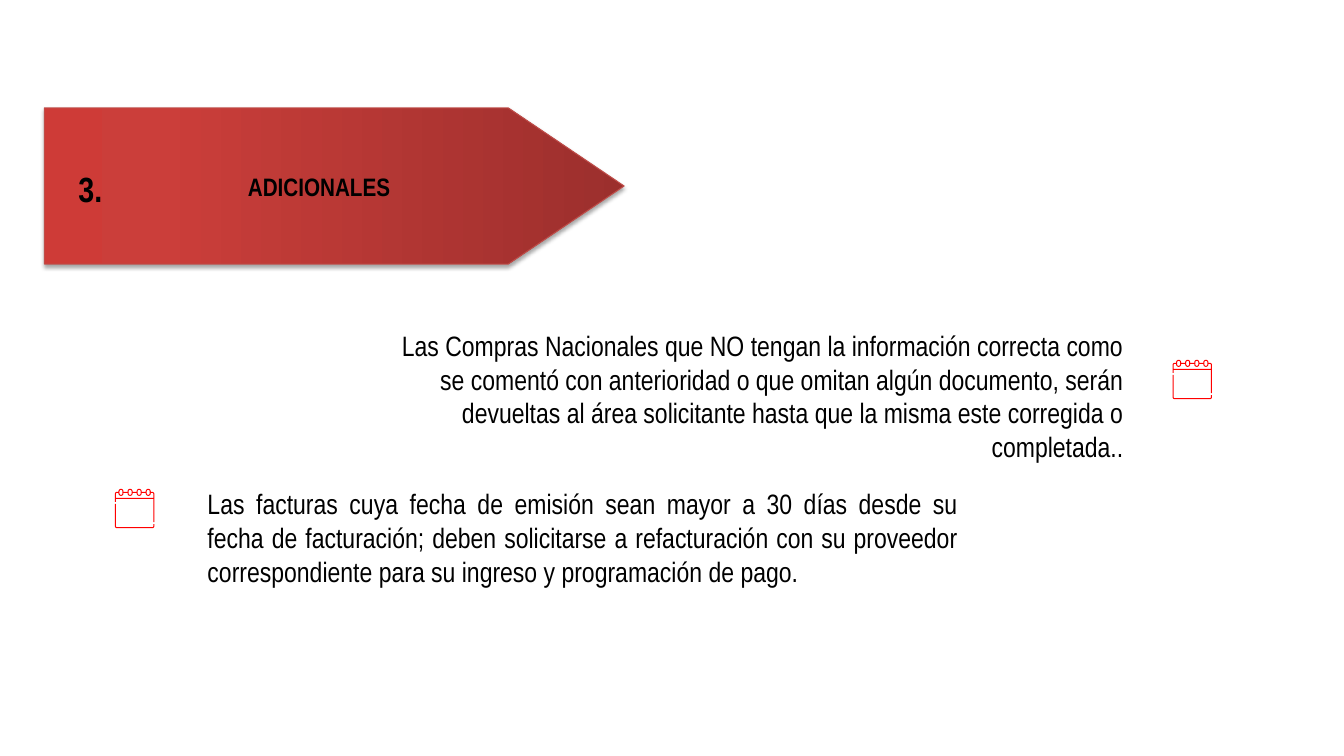
from copy import deepcopy
from math import cos, radians, sin

from lxml import etree
from pptx import Presentation
from pptx.dml.color import RGBColor
from pptx.enum.shapes import MSO_SHAPE
from pptx.enum.text import MSO_ANCHOR, MSO_AUTO_SIZE, PP_ALIGN
from pptx.oxml.ns import qn
from pptx.util import Inches, Pt

LEFT, CENTER, RIGHT, JUST = PP_ALIGN.LEFT, PP_ALIGN.CENTER, PP_ALIGN.RIGHT, PP_ALIGN.JUSTIFY
TOP = MSO_ANCHOR.TOP
GROW = MSO_AUTO_SIZE.SHAPE_TO_FIT_TEXT
PENTA = MSO_SHAPE.FLOWCHART_OFFPAGE_CONNECTOR

HEAD = ("ADICIONALES", (1.16, 1.65, 4.01, 0.4))
NUMBER = ("3.", (0.68, 1.61, 0.48, 0.52))
BANNER = (2.54, -1.03, 1.55, 5.75)
NOTES = [
    {
        "text": "Las Compras Nacionales que NO tengan la información correcta como se comentó con anterioridad o que omitan algún documento, serán devueltas al área solicitante hasta que la misma este corregida o completada..",
        "box": (3.6, 3.21, 7.64, 1.11),
        "align": RIGHT,
        "icon": (11.63, 3.57),
    },
    {
        "text": "Las facturas cuya fecha de emisión sean mayor a 30 días desde su fecha de facturación; deben solicitarse a refacturación con su proveedor correspondiente para su ingreso y programación de pago.",
        "box": (1.96, 4.78, 7.64, 1.11),
        "align": JUST,
        "icon": (1.14, 4.85),
    },
]
THEME = {
    "font": "Arial Narrow",
    "ink": RGBColor(0, 0, 0),
    "icon": RGBColor(0xFF, 0, 0),
    "edge": RGBColor(0xBF, 0x4C, 0x48),
    "stops": [(0, "9C2F2D"), (0.8, "CB3E3A"), (1, "CE3B37")],
    "head": 18,
    "number": 25,
    "body": 20,
}


def place(box):
    return [Inches(n) for n in box]


def write(shape, text, size, align, bold=False):
    frame = shape.text_frame
    frame.word_wrap = True
    frame.auto_size = GROW
    frame.vertical_anchor = TOP
    para = frame.paragraphs[0]
    para.alignment = align
    run = para.add_run()
    run.text = text
    font = run.font
    font.name, font.size, font.bold = THEME["font"], Pt(size), bold
    font.color.rgb = THEME["ink"]


def arc(x, y, r, start, end, steps=8):
    turns = [radians(start + (end - start) * i / steps) for i in range(steps + 1)]
    return [(x + r * cos(t), y + r * sin(t)) for t in turns]


def draw(slide, loops, corner):
    left, top = corner
    build = None
    for loop in loops:
        dots = [(Inches(left + x), Inches(top + y)) for x, y in loop]
        if build is None:
            build = slide.shapes.build_freeform(*dots[0])
        else:
            build.move_to(*dots[0])
        build.add_line_segments(dots[1:], close=True)
    shape = build.convert_to_shape()
    shape.shadow.inherit = False
    shape.fill.solid()
    shape.fill.fore_color.rgb = THEME["icon"]
    shape.line.fill.background()


def cover():
    rings = [0.06 + 0.09 * i for i in range(4)]
    rim = [(0.01, 0.13), (0, 0.13)] + arc(0.02, 0.05, 0.02, 180, 270)
    page = [(0.01, 0.09)] + arc(0.02, 0.05, 0.01, 180, 270)
    holes = []
    for x in rings:
        rim += [(x - 0.025, 0.03)] + arc(x, 0.025, 0.025, 180, 360) + [(x + 0.025, 0.03)]
        page += [(x - 0.025, 0.04)] + arc(x, 0.045, 0.025, 180, 0) + [(x + 0.025, 0.04)]
        holes.append(arc(x, 0.025, 0.015, 180, 360) + arc(x, 0.045, 0.015, 0, 180))
    rim += arc(0.37, 0.05, 0.02, 270, 360)
    rim += [(0.39, 0.33), (0.38, 0.33), (0.38, 0.1), (0.01, 0.1)]
    page += arc(0.37, 0.05, 0.01, 270, 360) + [(0.38, 0.09)]
    return [rim, page] + holes


def tray():
    outer = [(0, 0.15)] + arc(0.02, 0.37, 0.02, 180, 90) + arc(0.37, 0.37, 0.02, 90, 0)
    inner = arc(0.37, 0.37, 0.01, 0, 90) + arc(0.02, 0.37, 0.01, 90, 180)
    return [outer + [(0.39, 0.35), (0.38, 0.35)] + inner + [(0.01, 0.15)]]


def add_banner(slide):
    shape = slide.shapes.add_shape(PENTA, *place(BANNER))
    shape.rotation = 270
    shape.line.color.rgb = THEME["edge"]
    shape.line.width = Pt(0.75)
    shape.fill.gradient()
    shape.fill.gradient_angle = 90
    stops = shape.element.find(".//" + qn("a:gsLst"))
    stops.append(deepcopy(stops[-1]))
    for stop, (spot, tone) in zip(shape.fill.gradient_stops, THEME["stops"]):
        stop.position = spot
        stop.color.rgb = RGBColor.from_string(tone)
    shape.shadow.inherit = False
    effect = shape.element.find(".//" + qn("a:effectLst"))
    shade = etree.SubElement(
        effect, qn("a:outerShdw"), blurRad=str(Pt(3.1)), dist=str(Pt(1.8)),
        dir="5400000", rotWithShape="0",
    )
    tone = etree.SubElement(shade, qn("a:srgbClr"), val="000000")
    etree.SubElement(tone, qn("a:alpha"), val="35000")


def main():
    deck = Presentation()
    deck.slide_width, deck.slide_height = Inches(13.33), Inches(7.5)
    slide = deck.slides.add_slide(deck.slide_layouts[5])
    add_banner(slide)

    title = slide.shapes.title
    title.element.getparent().append(title.element)
    text, box = HEAD
    title.left, title.top, title.width, title.height = place(box)
    write(title, text, THEME["head"], CENTER, True)

    text, box = NUMBER
    write(slide.shapes.add_textbox(*place(box)), text, THEME["number"], LEFT, True)

    for note in NOTES:
        for loops in (cover(), tray()):
            draw(slide, loops, note["icon"])
        body = slide.shapes.add_textbox(*place(note["box"]))
        write(body, note["text"], THEME["body"], note["align"])

    deck.save("out.pptx")


if __name__ == "__main__":
    main()
